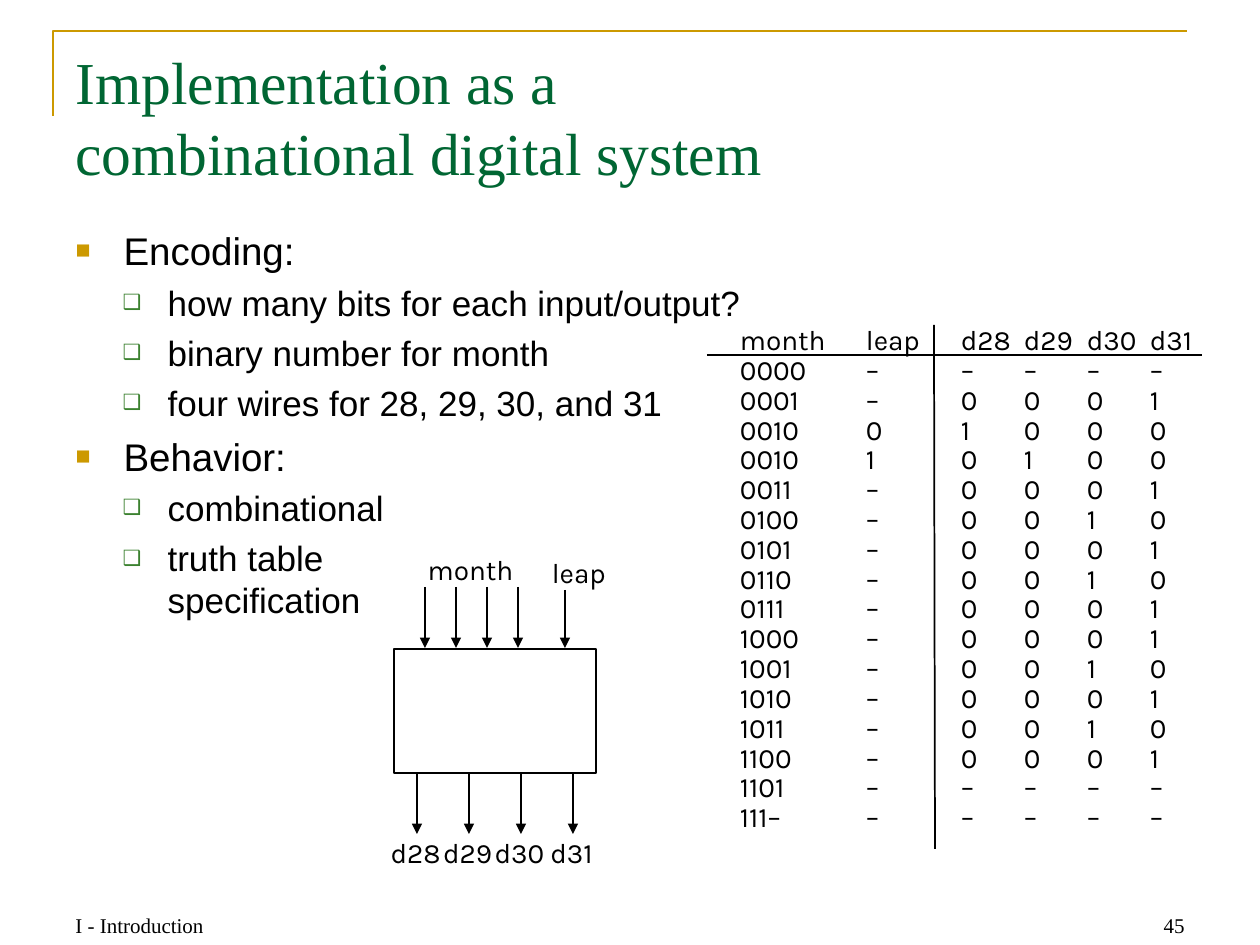
"""Build the slide on a calendar circuit: encoding, block diagram and truth table."""
from lxml import etree
from pptx import Presentation
from pptx.dml.color import RGBColor
from pptx.enum.shapes import MSO_CONNECTOR, MSO_SHAPE
from pptx.enum.text import MSO_ANCHOR, MSO_AUTO_SIZE, PP_ALIGN
from pptx.oxml.ns import qn
from pptx.util import Emu, Pt

LINE = MSO_CONNECTOR.STRAIGHT
RECT = MSO_SHAPE.RECTANGLE
TOP, MIDDLE, BOTTOM = MSO_ANCHOR.TOP, MSO_ANCHOR.MIDDLE, MSO_ANCHOR.BOTTOM
LEFT, CENTER, RIGHT = PP_ALIGN.LEFT, PP_ALIGN.CENTER, PP_ALIGN.RIGHT
NOFIT = MSO_AUTO_SIZE.NONE
PX = 914400 / 126
BLACK, GOLD, GREEN, LEAF = "000000", "CC9900", "006633", "3B812F"
SERIF, SANS, KARLA = "Times New Roman", "Arial", "Karla"


def px(*sizes):
    return [Emu(round(n * PX)) for n in sizes]


def style(para, name, size, color=BLACK, align=LEFT):
    para.alignment = align
    para.font.name, para.font.size = name, Pt(size)
    para.font.color.rgb = RGBColor.from_string(color)


deck = Presentation()
deck.slide_width, deck.slide_height = px(1260, 945)
slide = deck.slides.add_slide(deck.slide_layouts[1])
shapes = slide.shapes

pen = shapes.build_freeform(53, 116, scale=PX)
pen.add_line_segments([(53, 31), (1187, 31)], close=False)
frame = pen.convert_to_shape()
frame.shadow.inherit = False
frame.fill.background()
frame.line.color.rgb = RGBColor.from_string(GOLD)
frame.line.width = Pt(1.5)

title = shapes.title
title.left, title.top, title.width, title.height = px(63, 38, 1134, 157)
text = title.text_frame
text.auto_size, text.vertical_anchor = NOFIT, MIDDLE
text.text = "Implementation as a\vcombinational digital system"
style(text.paragraphs[0], SERIF, 34, GREEN)

ITEMS = [
    (0, "Encoding:"),
    (1, "how many bits for each input/output?"),
    (1, "binary number for month"),
    (1, "four wires for 28, 29, 30, and 31"),
    (0, "Behavior:"),
    (1, "combinational"),
    (1, "truth table\vspecification"),
]
LEVELS = [(22, 48, 48, "■", GOLD, 65), (20, 92, 45, "❑", LEAF, 60)]
body = slide.placeholders[1]
body.left, body.top, body.width, body.height = px(63, 221, 1134, 624)
text = body.text_frame
text.auto_size, text.vertical_anchor = NOFIT, TOP
for i, (level, words) in enumerate(ITEMS):
    size, margin, hang, mark, color, ratio = LEVELS[level]
    para = text.add_paragraph() if i else text.paragraphs[0]
    para.text, para.level = words, level
    props = para._p.get_or_add_pPr()
    props.set("marL", str(px(margin)[0]))
    props.set("indent", str(px(-hang)[0]))
    tint = etree.SubElement(props, qn("a:buClr"))
    etree.SubElement(tint, qn("a:srgbClr"), val=color)
    etree.SubElement(props, qn("a:buSzPct"), val=str(ratio * 1000))
    etree.SubElement(props, qn("a:buFont"), typeface=SANS)
    etree.SubElement(props, qn("a:buChar"), char=mark)
    para.space_before = Pt(size * 0.23 if i else 0)
    style(para, SANS, size)

block = shapes.add_shape(RECT, *px(394, 649, 202, 124))
block.shadow.inherit = False
block.fill.background()
block.line.color.rgb = RGBColor.from_string(BLACK)
block.line.width = Pt(1)

ROWS = """month leap d28 d29 d30 d31
0000 – – – – –
0001 – 0 0 0 1
0010 0 1 0 0 0
0010 1 0 1 0 0
0011 – 0 0 0 1
0100 – 0 0 1 0
0101 – 0 0 0 1
0110 – 0 0 1 0
0111 – 0 0 0 1
1000 – 0 0 0 1
1001 – 0 0 1 0
1010 – 0 0 0 1
1011 – 0 0 1 0
1100 – 0 0 0 1
1101 – – – – –
111– – – – – –""".splitlines()
WIDTHS = [126, 95, 63, 63, 63, 63]
table = shapes.add_table(len(ROWS), len(WIDTHS), *px(740, 328, sum(WIDTHS), 506)).table
table.first_row = table.horz_banding = False
for col, width in zip(table.columns, px(*WIDTHS)):
    col.width = width
for r, row in enumerate(ROWS):
    table.rows[r].height = Pt(17)
    for c, word in enumerate(row.split()):
        cell = table.cell(r, c)
        cell.fill.background()
        cell.margin_left = cell.margin_right = cell.margin_top = cell.margin_bottom = 0
        cell.text = word
        para = cell.text_frame.paragraphs[0]
        para.line_spacing = Pt(17)
        style(para, KARLA, 16)

wires = [(425 + 31 * i, 587, 425 + 31 * i, 648) for i in range(4)]
wires += [(565, 590, 565, 648)]
wires += [(417 + 52 * i, 773, 417 + 52 * i, 834) for i in range(4)]
rules = [(707, 355, 1202, 355), (934, 325, 935, 849)]
for ends in wires + rules:
    line = shapes.add_connector(LINE, *px(*ends))
    line.line.color.rgb = RGBColor.from_string(BLACK)
    line.line.width = Pt(1)
    if ends in wires:
        etree.SubElement(line.line._get_or_add_ln(), qn("a:tailEnd"), type="triangle")
    etree.SubElement(line._element.spPr, qn("a:effectLst"))

LABELS = [("month", 398, 544, 145, CENTER), ("leap", 549, 547, 117, LEFT)]
LABELS += [(f"d{28 + i}", 369 + 52 * i, 827, 93, CENTER) for i in range(4)]
for word, left, top, width, align in LABELS:
    text = shapes.add_textbox(*px(left, top, width, 55)).text_frame
    text.margin_left, text.margin_right, text.margin_top, text.margin_bottom = px(3, 3, 4, 4)
    text.text = word
    para = text.paragraphs[0]
    para.line_spacing = Pt(22)
    style(para, KARLA, 16, align=align)

for words, left, align in [("I - Introduction", 63, LEFT), ("45", 903, RIGHT)]:
    text = shapes.add_textbox(*px(left, 881, 294, 63)).text_frame
    text.word_wrap, text.vertical_anchor = True, BOTTOM
    text.text = words
    style(text.paragraphs[0], SERIF, 12, align=align)

deck.save("out.pptx")
